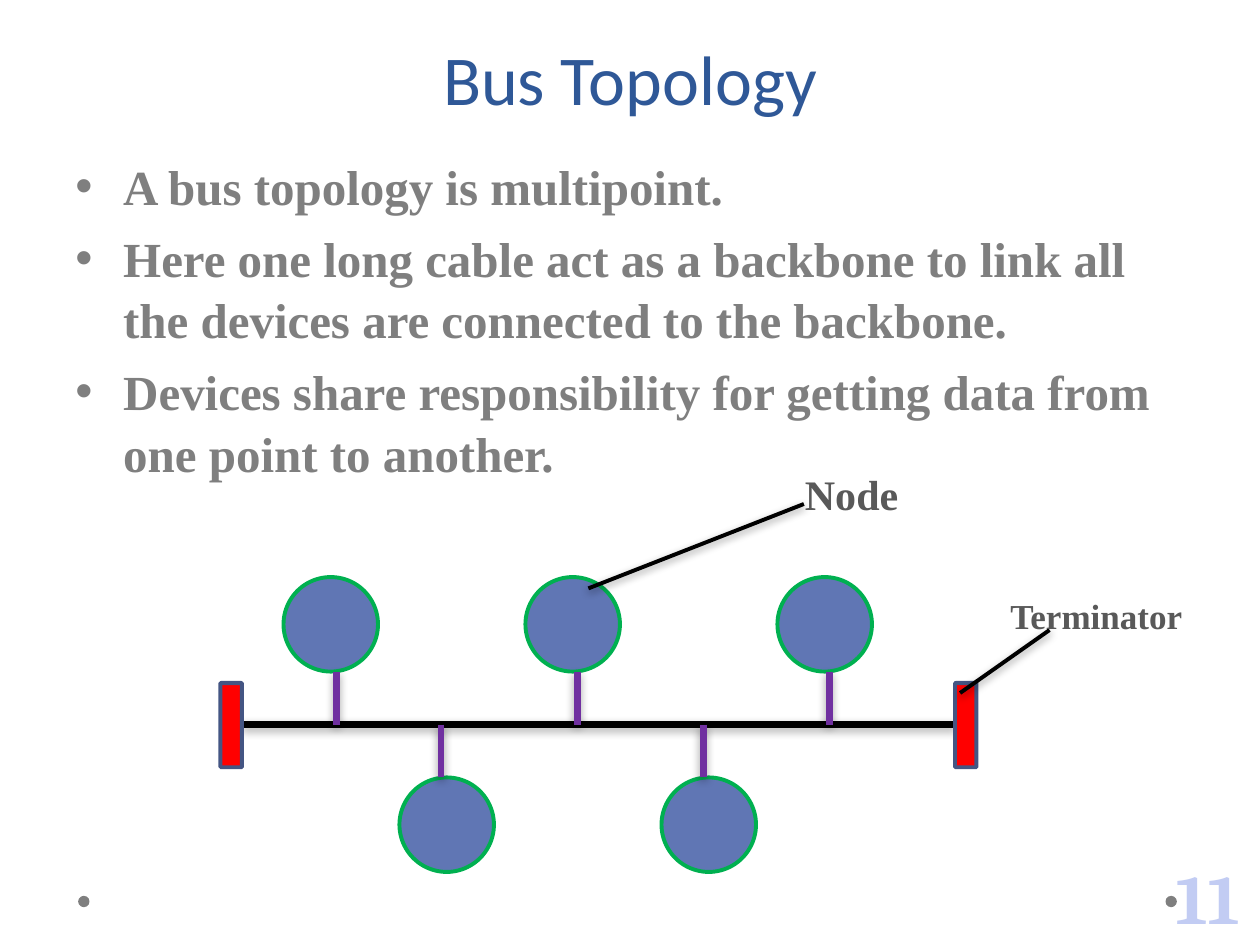
import pptx
import pptx.util
import pptx.dml.color
import pptx.enum.shapes
import pptx.enum.text
import pptx.oxml
import pptx.oxml.ns
from dataclasses import dataclass

Inches = pptx.util.Inches
Pt = pptx.util.Pt
Shape = pptx.enum.shapes.MSO_SHAPE
Anchor = pptx.enum.text.MSO_ANCHOR
Align = pptx.enum.text.PP_ALIGN
NS = pptx.oxml.ns.nsdecls("a")


@dataclass(frozen=True)
class Theme:
    title: str = "2F5897"
    body: str = "7F7F7F"
    label: str = "595959"
    page: str = "C2CCF3"
    node: str = "6076B4"
    ring: str = "00B050"
    drop: str = "7030A0"
    cable: str = "000000"
    cap: str = "FF0000"
    edge: str = "445583"
    sans: str = "Calibri"
    serif: str = "Times New Roman"
    digit: str = "Cambria"
    big: int = 40
    text: int = 28
    mid: int = 24
    small: int = 20
    thick: float = 4
    thin: float = 2.25


THEME = Theme()


def rgb(color):
    return pptx.dml.color.RGBColor.from_string(color)


def add_bullet(para):
    props = para._p.get_or_add_pPr()
    props.set("marL", str(Inches(0.38)))
    props.set("indent", str(-Inches(0.38)))
    for xml in (
        f'<a:buClr {NS}><a:srgbClr val="{THEME.body}"/></a:buClr>',
        f'<a:buFont {NS} typeface="Arial"/>',
        f'<a:buChar {NS} char="•"/>',
    ):
        props.append(pptx.oxml.parse_xml(xml))


def add_text(slide, box, *lines, size, color, font=THEME.serif, bold=True,
             align=Align.LEFT, anchor=Anchor.TOP, pitch=None, gap=0,
             bullet=False):
    """Place one paragraph per line in a box of left, top, width, height."""
    frame = slide.shapes.add_textbox(*map(Inches, box)).text_frame
    frame.word_wrap = True
    frame.vertical_anchor = anchor
    for i, line in enumerate(lines):
        para = frame.add_paragraph() if i else frame.paragraphs[0]
        para.alignment = align
        if pitch:
            para.line_spacing = pitch
        if i:
            para.space_before = Pt(gap)
        if bullet:
            add_bullet(para)
        run = para.add_run()
        run.text = line
        run.font.size = Pt(size)
        run.font.name = font
        run.font.bold = bold
        run.font.color.rgb = rgb(color)


def add_form(slide, kind, box, fill, edge=None):
    form = slide.shapes.add_shape(kind, *map(Inches, box))
    form.shadow.inherit = False
    form.fill.solid()
    form.fill.fore_color.rgb = rgb(fill)
    if edge:
        form.line.color.rgb = rgb(edge)
        form.line.width = Pt(THEME.thin)
    else:
        form.line.fill.background()
    return form


def add_line(slide, start, end, color, width, alpha=35, drop=1.8):
    """Draw a line with a soft shadow below it."""
    line = slide.shapes.add_connector(
        pptx.enum.shapes.MSO_CONNECTOR.STRAIGHT, *map(Inches, start + end))
    line.line.color.rgb = rgb(color)
    line.line.width = Pt(width)
    line._element.spPr.append(pptx.oxml.parse_xml(
        f'<a:effectLst {NS}><a:outerShdw blurRad="{Pt(5)}" dist="{Pt(drop)}" '
        'dir="5400000" rotWithShape="0"><a:srgbClr val="000000">'
        f'<a:alpha val="{alpha * 1000}"/></a:srgbClr></a:outerShdw>'
        '</a:effectLst>'))


def add_footer(slide, box):
    left, top, width, height = box
    for x in (left, left + 8.63):
        add_form(slide, Shape.OVAL, (x, top + 0.38, 0.09, 0.09), THEME.body)
    add_text(slide, (left + 8.55, top, 0.83, height), "11", size=THEME.big,
             color=THEME.page, font=THEME.digit, align=Align.CENTER)


def add_bus(slide, box):
    """Draw the cable with its nodes, drop lines, end caps and callouts."""
    left, top, width, height = box
    cable = top + 2.08
    end = left + width
    drop, size = 0.42, 0.75
    upper = [(0.5, 0.92), (2.42, 2.83), (4.42, 4.83)]
    lower = [(1.42, 1.75), (3.5, 3.83)]
    for x, _ in upper:
        add_form(slide, Shape.OVAL,
                 (left + x, cable - drop - size, size, size),
                 THEME.node, THEME.ring)
    for x, _ in lower:
        add_form(slide, Shape.OVAL, (left + x, cable + drop, size, size),
                 THEME.node, THEME.ring)

    add_line(slide, (left + 0.17, cable), (end - 0.17, cable),
             THEME.cable, THEME.thick)
    for row, side in ((upper, -1), (lower, 1)):
        for _, x in row:
            add_line(slide, (left + x, cable), (left + x, cable + side * drop),
                     THEME.drop, THEME.thick)

    for x in (left, end - 0.17):
        cap = add_form(slide, Shape.CAN, (x, cable - 0.33, 0.17, 0.67),
                       THEME.cap, THEME.edge)
        cap.adjustments[0] = 0.01

    callouts = [
        ("Node", (4.54, 0, 1, 0.51), (2.92, 1), (4.63, 0.33), THEME.mid),
        ("Terminator", (6.17, 1, 1.67, 0.44), (5.87, 1.83), (6.58, 1.33),
         THEME.small),
    ]
    for name, (x, y, wide, high), tip, tail, points in callouts:
        add_line(slide, (left + tip[0], top + tip[1]),
                 (left + tail[0], top + tail[1]),
                 THEME.cable, THEME.thin, alpha=38, drop=1.6)
        add_text(slide, (left + x, top + y, wide, high), name,
                 size=points, color=THEME.label)


def main():
    deck = pptx.Presentation()
    deck.slide_width, deck.slide_height = Inches(10), Inches(7.5)
    slide = deck.slides.add_slide(deck.slide_layouts[6])
    add_text(slide, (0.5, 0.33, 9, 0.67), "Bus Topology", size=THEME.big,
             color=THEME.title, font=THEME.sans, bold=False,
             align=Align.CENTER, anchor=Anchor.BOTTOM, pitch=1.45)
    add_text(slide, (0.5, 1.17, 9, 6.17),
             "A bus topology is multipoint.",
             "Here one long cable act as a backbone to link all the devices "
             "are connected to the backbone.",
             "Devices share responsibility for getting data from one point "
             "to another.",
             size=THEME.text, color=THEME.body, pitch=1.05, gap=5.6,
             bullet=True)
    add_bus(slide, (1.75, 3.67, 6, 3.25))
    add_footer(slide, (0.62, 6.73, 9.38, 0.77))
    deck.save("out.pptx")


if __name__ == "__main__":
    main()
